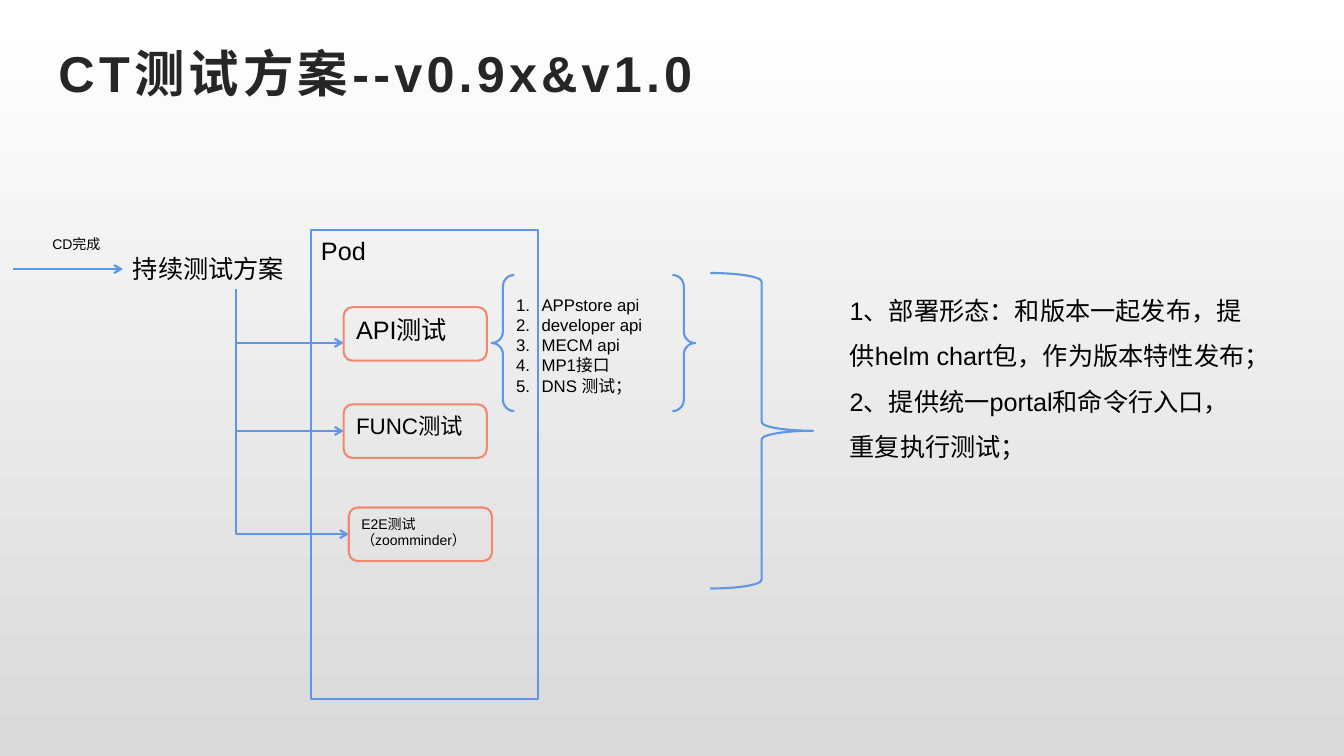
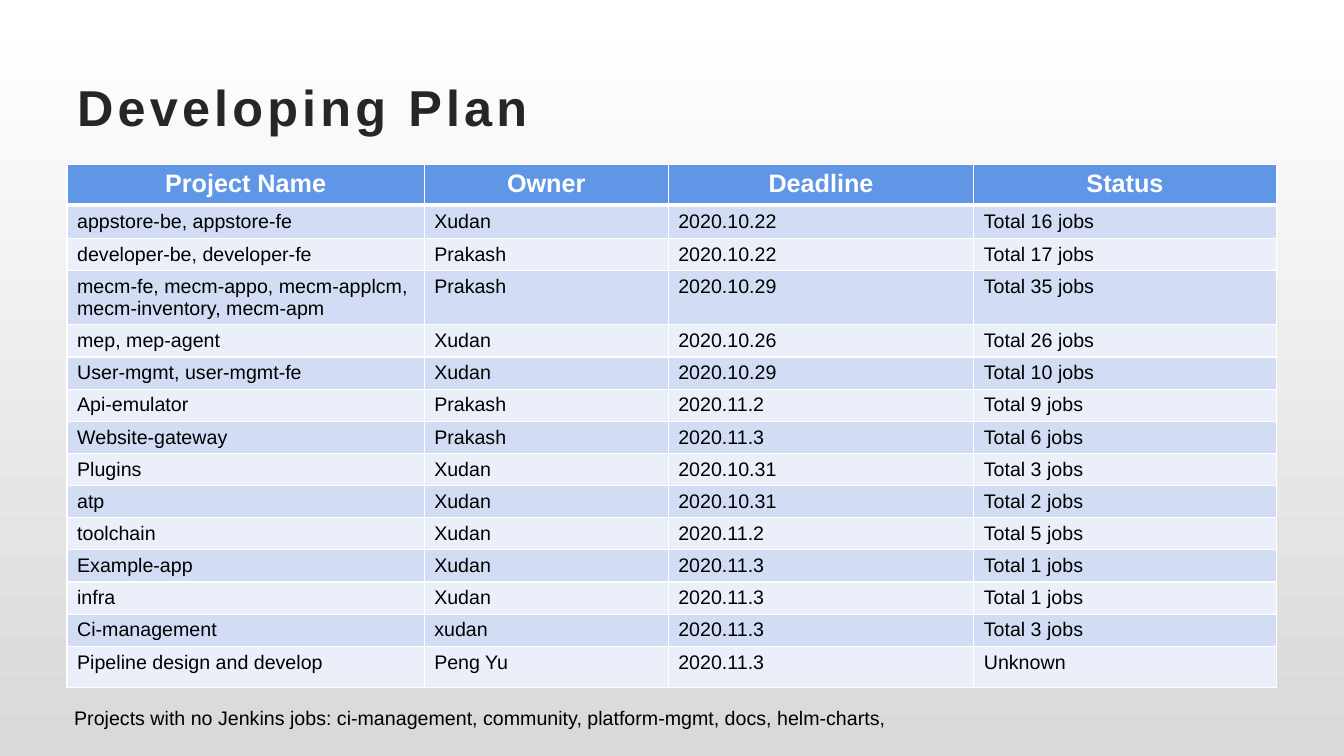
import dataclasses
from typing import Sequence

import lxml.etree
import pptx
import pptx.dml.color
import pptx.enum.shapes
import pptx.enum.text
import pptx.oxml.ns
import pptx.presentation
import pptx.shapes.base
import pptx.slide
import pptx.table
import pptx.text.text
import pptx.util

Cm = pptx.util.Cm
Pt = pptx.util.Pt
qn = pptx.oxml.ns.qn
RGBColor = pptx.dml.color.RGBColor
Preset = pptx.enum.shapes.MSO_SHAPE
Connector = pptx.enum.shapes.MSO_CONNECTOR
Anchor = pptx.enum.text.MSO_ANCHOR
Align = pptx.enum.text.PP_ALIGN

BLUE = RGBColor(0x60, 0x96, 0xE6)
CORAL = RGBColor(0xF1, 0x88, 0x70)
WHITE = RGBColor(0xFF, 0xFF, 0xFF)
BLACK = RGBColor(0x00, 0x00, 0x00)
TITLE_GRAY = RGBColor(0x26, 0x26, 0x26)
BACKGROUND_GRAY = RGBColor(0xD9, 0xD9, 0xD9)
BAND_DARK = RGBColor(0xD2, 0xDD, 0xF5)
BAND_LIGHT = RGBColor(0xEA, 0xEF, 0xFA)

FONT = "Arial"
LINE_WIDTH = Pt(1.5)
TITLE_LAYOUT = 5
CONTENT_LAYOUT = 1


@dataclasses.dataclass(frozen=True)
class Box:
    left: float
    top: float
    width: float
    height: float

    def lengths(self) -> tuple[int, int, int, int]:
        return Cm(self.left), Cm(self.top), Cm(self.width), Cm(self.height)


@dataclasses.dataclass(frozen=True)
class Outline:
    preset: Preset
    box: Box
    color: RGBColor
    lines: tuple[str, ...] = ()
    size: float = 18
    numbered: bool = False


@dataclasses.dataclass(frozen=True)
class Label:
    text: str
    box: Box
    size: float


@dataclasses.dataclass(frozen=True)
class Arrow:
    start: tuple[float, float]
    end: tuple[float, float]
    kind: Connector = Connector.ELBOW


@dataclasses.dataclass(frozen=True)
class Project:
    name: str
    owner: str
    deadline: str
    status: str


TRUNK_X = 5.94
TRUNK_TOP = 7.29
TEST_SIZE = (3.61, 1.35)
TESTS = (
    ("API测试", 8.66, 7.74, 18),
    ("FUNC测试", 8.66, 10.19, 16),
    ("E2E测试（zoomminder）", 8.79, 12.79, 10),
)

ARROWS = (
    Arrow((0.33, 6.78), (3.1, 6.78), Connector.STRAIGHT),
    Arrow((TRUNK_X, TRUNK_TOP), (8.66, 8.64)),
    Arrow((TRUNK_X, TRUNK_TOP), (8.66, 10.86)),
    Arrow((TRUNK_X, 10.86), (8.79, 13.46)),
)
LABELS = (
    Label("CD完成", Box(1.07, 5.81, 1.93, 0.69), 10),
    Label("持续测试方案", Box(3.1, 6.27, 5.69, 1.02), 18),
)
OUTLINES = (
    *(
        Outline(Preset.ROUNDED_RECTANGLE, Box(left, top, *TEST_SIZE), CORAL, (text,), size)
        for text, left, top, size in TESTS
    ),
    Outline(
        Preset.DOUBLE_BRACE,
        Box(12.39, 6.93, 5.13, 3.43),
        BLUE,
        ("APPstore api", "developer api", "MECM api", "MP1接口", "DNS 测试；"),
        12,
        True,
    ),
    Outline(Preset.RIGHT_BRACE, Box(17.9, 6.88, 2.59, 7.95), BLUE),
    Outline(Preset.FLOWCHART_PROCESS, Box(7.84, 5.8, 5.72, 11.81), BLUE, ("Pod",)),
)
DEPLOYMENT_NOTES = (
    "1、部署形态：和版本一起发布，提供helm chart包，作为版本特性发布；",
    "2、提供统一portal和命令行入口，重复执行测试；",
)

TABLE_HEADER = ("Project Name", "Owner", "Deadline", "Status")
COLUMN_WIDTHS = (9, 6.15, 7.7, 7.62)
EDGE_ROW_HEIGHT = 1.03
FIRST_ROW_HEIGHT = 0.84
ROW_HEIGHT = 0.8
PROJECTS = (
    Project("appstore-be, appstore-fe", "Xudan", "2020.10.22", "Total 16 jobs"),
    Project("developer-be, developer-fe", "Prakash", "2020.10.22", "Total 17 jobs"),
    Project(
        "mecm-fe, mecm-appo, mecm-applcm, mecm-inventory, mecm-apm",
        "Prakash", "2020.10.29", "Total 35 jobs",
    ),
    Project("mep, mep-agent", "Xudan", "2020.10.26", "Total 26 jobs"),
    Project("User-mgmt, user-mgmt-fe", "Xudan", "2020.10.29", "Total 10 jobs"),
    Project("Api-emulator", "Prakash", "2020.11.2", "Total 9 jobs"),
    Project("Website-gateway", "Prakash", "2020.11.3", "Total 6 jobs"),
    Project("Plugins", "Xudan", "2020.10.31", "Total 3 jobs"),
    Project("atp", "Xudan", "2020.10.31", "Total 2 jobs"),
    Project("toolchain", "Xudan", "2020.11.2", "Total 5 jobs"),
    Project("Example-app", "Xudan", "2020.11.3", "Total 1 jobs"),
    Project("infra", "Xudan", "2020.11.3", "Total 1 jobs"),
    Project("Ci-management", "xudan", "2020.11.3", "Total 3 jobs"),
    Project("Pipeline design and develop", "Peng Yu", "2020.11.3", "Unknown"),
)
FOOTNOTE = Label(
    "Projects with no Jenkins jobs: ci-management, community, platform-mgmt, docs, helm-charts,",
    Box(1.62, 17.67, 32, 0.86),
    14,
)


def format_text(
    text_frame: pptx.text.text.TextFrame,
    size: float,
    color: RGBColor = BLACK,
    bold: bool = False,
    align: Align = Align.LEFT,
) -> None:
    for paragraph in text_frame.paragraphs:
        paragraph.alignment = align
        for run in paragraph.runs:
            run.font.name = FONT
            run.font.size = Pt(size)
            run.font.bold = bold
            run.font.color.rgb = color


def set_bullet(paragraph: pptx.text.text._Paragraph, indent: float, numbered: bool) -> None:
    properties = paragraph._p.get_or_add_pPr()
    properties.set("marL", str(Cm(indent)))
    properties.set("indent", str(-Cm(indent)))
    if numbered:
        lxml.etree.SubElement(properties, qn("a:buAutoNum"), type="arabicPeriod")
    else:
        lxml.etree.SubElement(properties, qn("a:buNone"))


def place(shape: pptx.shapes.base.BaseShape, box: Box) -> None:
    shape.left, shape.top, shape.width, shape.height = box.lengths()


def set_background(presentation: pptx.presentation.Presentation) -> None:
    fill = presentation.slide_master.background.fill
    fill.gradient()
    fill.gradient_angle = 270
    for stop, position, color in zip(fill.gradient_stops, (0, 1), (WHITE, BACKGROUND_GRAY)):
        stop.position = position
        stop.color.rgb = color


def add_slide(
    presentation: pptx.presentation.Presentation, layout: int, title: str, left: float, top: float
) -> pptx.slide.Slide:
    slide = presentation.slides.add_slide(presentation.slide_layouts[layout])
    shape = slide.shapes.title
    place(shape, Box(left, top, 30.48, 1.96))
    text_frame = shape.text_frame
    text_frame.text = title
    text_frame.vertical_anchor = Anchor.MIDDLE
    text_frame.auto_size = pptx.enum.text.MSO_AUTO_SIZE.NONE
    format_text(text_frame, 36, TITLE_GRAY, bold=True)
    for run in text_frame.paragraphs[0].runs:
        run.font._element.set("spc", "300")
    return slide


def add_arrow(slide: pptx.slide.Slide, arrow: Arrow) -> None:
    points = [Cm(value) for value in (*arrow.start, *arrow.end)]
    connector = slide.shapes.add_connector(arrow.kind, *points)
    connector.line.color.rgb = BLUE
    connector.line.width = LINE_WIDTH
    properties = connector._element.spPr
    if arrow.kind == Connector.ELBOW:
        guides = properties.find(f"{qn('a:prstGeom')}/{qn('a:avLst')}")
        lxml.etree.SubElement(guides, qn("a:gd"), name="adj1", fmla="val 0")
    lxml.etree.SubElement(connector.line._get_or_add_ln(), qn("a:tailEnd"), type="arrow")
    lxml.etree.SubElement(properties, qn("a:effectLst"))


def add_label(slide: pptx.slide.Slide, label: Label) -> None:
    shape = slide.shapes.add_textbox(*label.box.lengths())
    shape.text_frame.word_wrap = True
    shape.text_frame.text = label.text
    format_text(shape.text_frame, label.size)


def add_outline(slide: pptx.slide.Slide, outline: Outline) -> None:
    shape = slide.shapes.add_shape(outline.preset, *outline.box.lengths())
    shape.shadow.inherit = False
    shape.fill.background()
    shape.line.color.rgb = outline.color
    shape.line.width = LINE_WIDTH
    if not outline.lines:
        return
    text_frame = shape.text_frame
    text_frame.text = "\n".join(outline.lines)
    text_frame.vertical_anchor = Anchor.TOP
    if outline.numbered:
        for paragraph in text_frame.paragraphs:
            set_bullet(paragraph, 0.64, numbered=True)
    format_text(text_frame, outline.size)


def add_notes_list(slide: pptx.slide.Slide, lines: Sequence[str], box: Box) -> None:
    body = slide.placeholders[1]
    place(body, box)
    text_frame = body.text_frame
    text_frame.text = "\n".join(lines)
    text_frame.auto_size = pptx.enum.text.MSO_AUTO_SIZE.NONE
    for paragraph in text_frame.paragraphs:
        set_bullet(paragraph, 0, numbered=False)
        paragraph.line_spacing = 1.5
        paragraph.space_before = Pt(0)
    format_text(text_frame, 18)


def set_borders(cell: pptx.table._Cell, top: float, bottom: float) -> None:
    properties = cell._tc.get_or_add_tcPr()
    for side, width in (("L", 1), ("R", 1), ("T", top), ("B", bottom)):
        line = lxml.etree.SubElement(properties, qn(f"a:ln{side}"), w=str(Pt(width)))
        fill = lxml.etree.SubElement(line, qn("a:solidFill"))
        lxml.etree.SubElement(fill, qn("a:srgbClr"), val=str(WHITE))


def add_project_table(slide: pptx.slide.Slide, left: float, top: float) -> None:
    rows = [TABLE_HEADER, *(dataclasses.astuple(project) for project in PROJECTS)]
    middle_heights = [ROW_HEIGHT] * (len(rows) - 3)
    heights = [EDGE_ROW_HEIGHT, FIRST_ROW_HEIGHT, *middle_heights, EDGE_ROW_HEIGHT]
    box = Box(left, top, sum(COLUMN_WIDTHS), sum(heights))
    table = slide.shapes.add_table(len(rows), len(TABLE_HEADER), *box.lengths()).table
    table.horz_banding = False
    for column, width in zip(table.columns, COLUMN_WIDTHS):
        column.width = Cm(width)
    for index, (row, values) in enumerate(zip(table.rows, rows)):
        row.height = Cm(heights[index])
        header = index == 0
        band = BAND_DARK if index % 2 else BAND_LIGHT
        for cell, value in zip(row.cells, values):
            cell.text_frame.text = value
            set_borders(cell, 3 if index == 1 else 1, 3 if header else 1)
            cell.fill.solid()
            cell.fill.fore_color.rgb = BLUE if header else band
            if header:
                format_text(cell.text_frame, 18, WHITE, True, Align.CENTER)
            else:
                format_text(cell.text_frame, 14)


def build_test_slide(presentation: pptx.presentation.Presentation) -> None:
    slide = add_slide(presentation, CONTENT_LAYOUT, "CT测试方案--v0.9x&v1.0", 1.22, 0.84)
    for arrow in ARROWS:
        add_arrow(slide, arrow)
    for label in LABELS:
        add_label(slide, label)
    for outline in OUTLINES:
        add_outline(slide, outline)
    add_notes_list(slide, DEPLOYMENT_NOTES, Box(21.16, 6.93, 10.69, 4.88))


def build_plan_slide(presentation: pptx.presentation.Presentation) -> None:
    slide = add_slide(presentation, TITLE_LAYOUT, "Developing Plan", 1.69, 1.7)
    add_project_table(slide, 1.69, 4.14)
    add_label(slide, FOOTNOTE)


def main() -> None:
    presentation = pptx.Presentation()
    presentation.slide_width = Cm(33.87)
    presentation.slide_height = Cm(19.05)
    set_background(presentation)
    build_test_slide(presentation)
    build_plan_slide(presentation)
    presentation.save("out.pptx")


if __name__ == "__main__":
    main()
